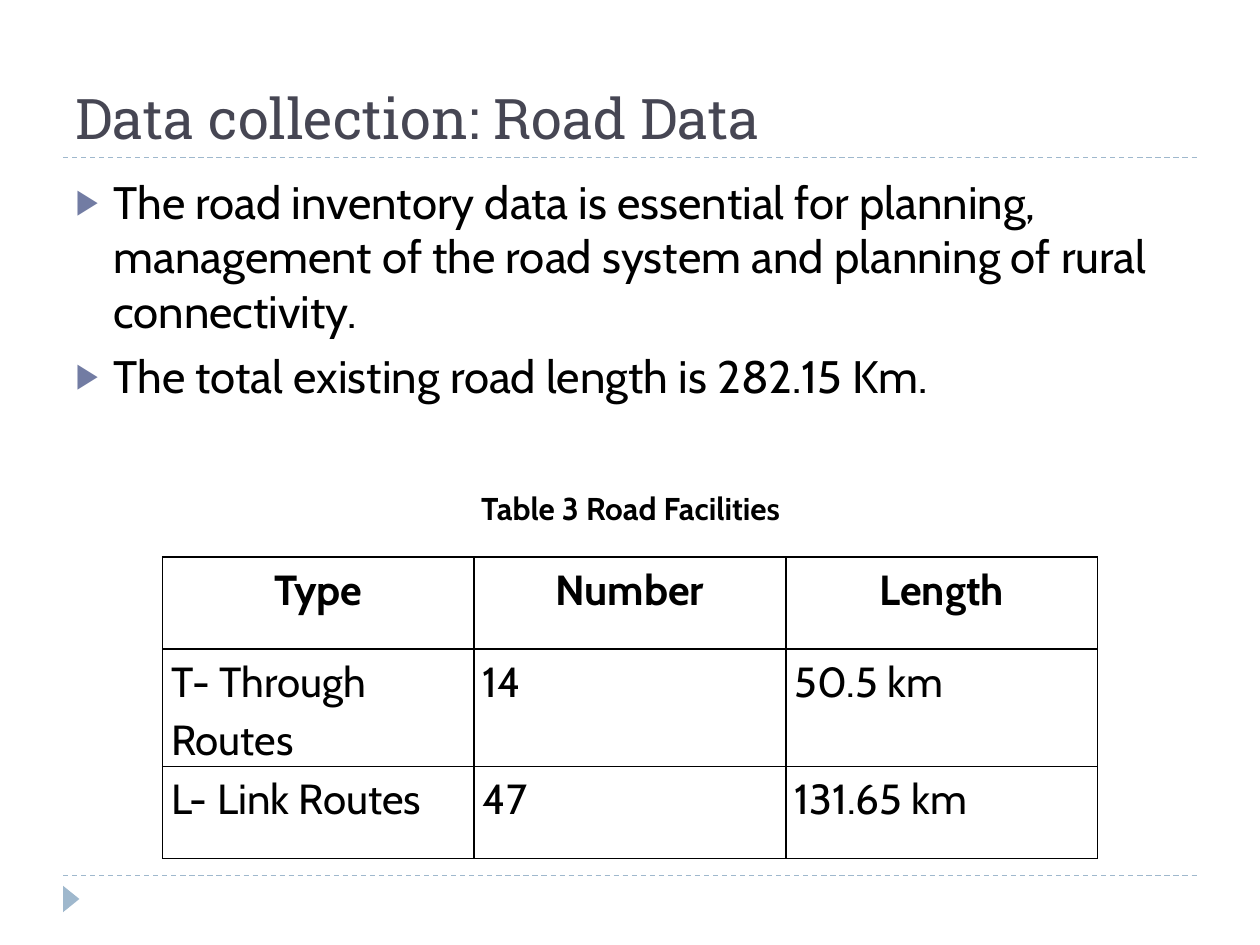
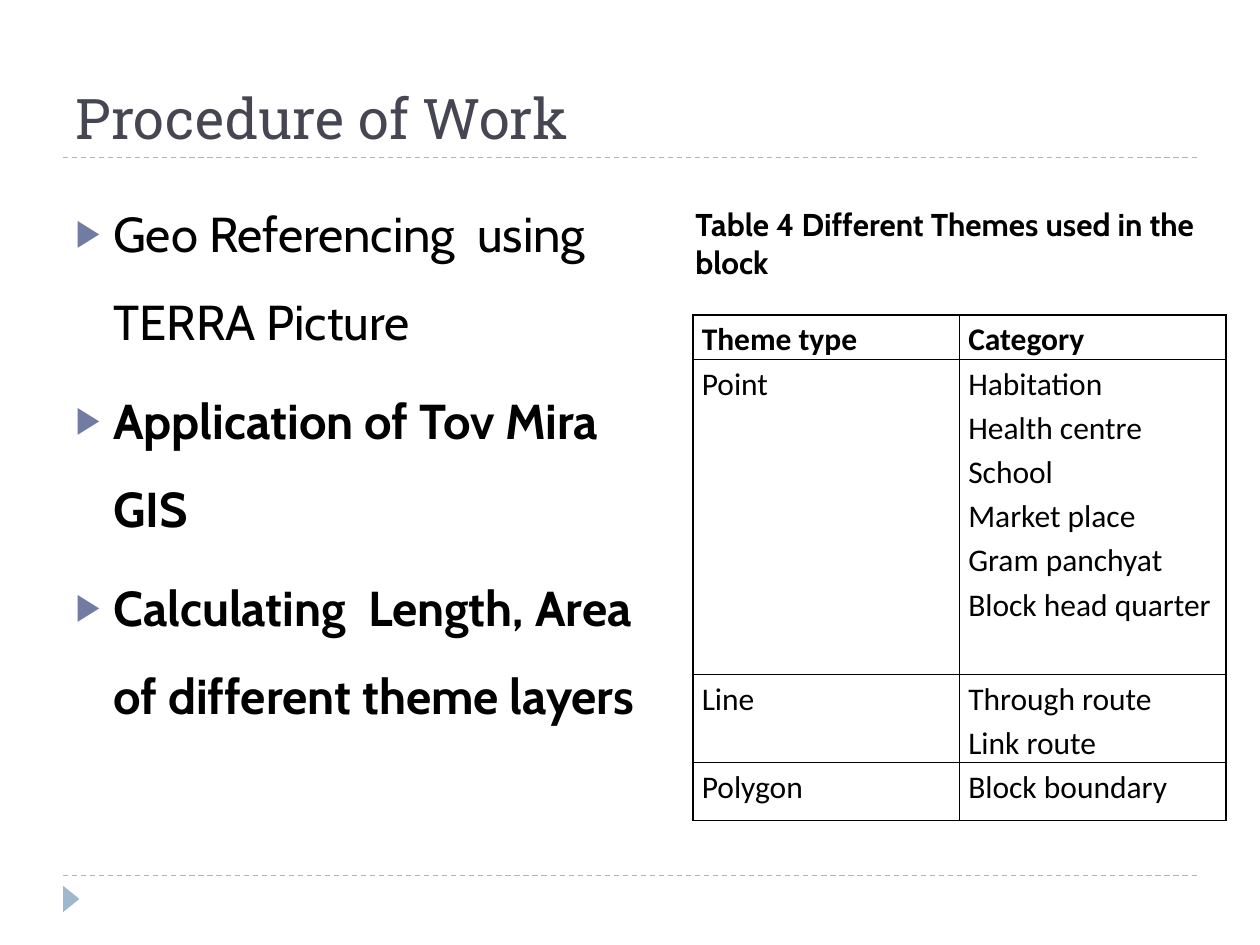
from dataclasses import dataclass

from lxml.etree import SubElement
from pptx import Presentation
from pptx.dml.color import RGBColor
from pptx.enum.dml import MSO_LINE
from pptx.enum.shapes import MSO_CONNECTOR, MSO_SHAPE
from pptx.enum.text import MSO_ANCHOR, MSO_AUTO_SIZE, PP_ALIGN
from pptx.oxml import parse_xml
from pptx.oxml.ns import nsdecls, qn
from pptx.util import Inches, Pt


@dataclass(frozen=True)
class Theme:
    """Colours, fonts and sizes that the slides share."""
    title_color: str = "464653"
    text_color: str = "000000"
    bullet_color: str = "727CA3"
    band_color: str = "9FB8CD"
    title_font: str = "Roboto Slab"
    body_font: str = "Cabin"
    title_size: int = 32
    caption_size: int = 18


THEME = Theme()
WIDTH, HEIGHT = 10, 7.5
MARGIN = WIDTH / 20
CONTENT_WIDTH = WIDTH - 2 * MARGIN
TITLE_TOP, TITLE_LINE, BODY_TOP, FOOTER_LINE = 0.17, 1.25, 1.33, 6.95

SLIDES = [
    {
        "title": "Data collection: Road Data",
        "bullets": [
            ("The road inventory data is essential for planning, management "
             "of the road system and planning of rural connectivity. ", False),
            ("The total existing road length is 282.15 Km.", False),
        ],
        "body": {"width": CONTENT_WIDTH, "height": 5.4, "size": 26, "spacing": 1},
        "table": {
            "box": (1.29, 4.42, 7.42), "row_heights": (0.73, 0.8, 0.73),
            "font": THEME.body_font, "size": 24, "header_align": PP_ALIGN.CENTER,
            "rows": [
                ("Type", "Number", "Length"),
                ("T- Through Routes", "14", "50.5 km"),
                ("L- Link Routes", "47", "131.65 km"),
            ],
        },
        "caption": {
            "text": "Table 3 Road Facilities", "box": (1.42, 3.83, 7.17, 0.4),
            "align": PP_ALIGN.CENTER, "anchor": MSO_ANCHOR.MIDDLE,
        },
    },
    {
        "title": "Procedure of Work",
        "bullets": [
            ("Geo Referencing  using TERRA Picture", False),
            ("Application of Tov Mira GIS", True),
            ("Calculating  Length, Area of different theme layers", True),
        ],
        "body": {"width": WIDTH / 2, "height": 5.17, "size": 28, "spacing": 1.5},
        "table": {
            "box": (5.5, 2.5, 4.23), "row_heights": (0.34, 2.5, 0.7, 0.46),
            "font": "Calibri", "size": 18, "header_align": PP_ALIGN.LEFT,
            "rows": [
                ("Theme type", "Category"),
                ("Point", "Habitation\nHealth centre\nSchool\nMarket place\n"
                          "Gram panchyat\nBlock head quarter "),
                ("Line", "Through route\nLink route"),
                ("Polygon", "Block boundary"),
            ],
        },
        "caption": {
            "text": "Table 4 Different Themes used in the block",
            "box": (5.42, 1.58, 4.42, 0.71),
            "align": PP_ALIGN.LEFT, "anchor": MSO_ANCHOR.TOP,
        },
    },
]


def inches(*lengths):
    """Turn plain numbers into lengths."""
    return [Inches(length) for length in lengths]


def place(shape, *box):
    """Move a shape to left, top, width, height."""
    shape.left, shape.top, shape.width, shape.height = inches(*box)


def set_font(paragraph, name, size, color=THEME.text_color, bold=False):
    """Format all the text of a paragraph."""
    font = paragraph.font
    font.name, font.size, font.bold = name, Pt(size), bold
    font.color.rgb = RGBColor.from_string(color)


def add_bands(slide):
    """Draw the two dashed rules and the footer marker."""
    for top in (FOOTER_LINE, TITLE_LINE):
        rule = slide.shapes.add_connector(
            MSO_CONNECTOR.STRAIGHT, *inches(MARGIN, top, WIDTH - MARGIN, top))
        rule.line.color.rgb = RGBColor.from_string(THEME.band_color)
        rule.line.width = Pt(0.75)
        rule.line.dash_style = MSO_LINE.DASH
        SubElement(rule._element.spPr, qn("a:effectLst"))
    marker = slide.shapes.add_shape(
        MSO_SHAPE.ISOSCELES_TRIANGLE, *inches(0.46, 7.07, 0.21, 0.13))
    marker.rotation = 90
    marker.shadow.inherit = False
    marker.fill.solid()
    marker.fill.fore_color.rgb = RGBColor.from_string(THEME.band_color)
    marker.line.fill.background()


def fill_title(slide, text):
    """Write the title just above the upper rule."""
    title = slide.shapes.title
    place(title, MARGIN, TITLE_TOP, CONTENT_WIDTH, TITLE_LINE - TITLE_TOP)
    frame = title.text_frame
    frame.text = text
    frame.auto_size = MSO_AUTO_SIZE.NONE
    frame.vertical_anchor = MSO_ANCHOR.BOTTOM
    paragraph = frame.paragraphs[0]
    paragraph.alignment = PP_ALIGN.LEFT
    set_font(paragraph, THEME.title_font, THEME.title_size, THEME.title_color)


def add_bullet(paragraph):
    """Give a paragraph a hanging triangle bullet."""
    properties = paragraph._p.get_or_add_pPr()
    properties.set("marL", str(Inches(0.3)))
    properties.set("indent", str(-Inches(0.3)))
    marks = (
        f'<a:buClr {nsdecls("a")}><a:srgbClr val="{THEME.bullet_color}"/></a:buClr>',
        f'<a:buSzPct {nsdecls("a")} val="76000"/>',
        f'<a:buChar {nsdecls("a")} char="\u25b6"/>',
    )
    for mark in marks:
        properties.insert_element_before(parse_xml(mark), "a:tabLst", "a:defRPr")


def fill_body(slide, bullets, width, height, size, spacing):
    """Write the bullet list."""
    body = slide.placeholders[1]
    place(body, MARGIN, BODY_TOP, width, height)
    frame = body.text_frame
    frame.text = "\n".join(text for text, _ in bullets)
    frame.auto_size = MSO_AUTO_SIZE.NONE
    for paragraph, (_, bold) in zip(frame.paragraphs, bullets):
        paragraph.line_spacing = spacing
        paragraph.space_before = Pt(6)
        set_font(paragraph, THEME.body_font, size, bold=bold)
        add_bullet(paragraph)


def add_borders(cell):
    """Rule all four sides of a cell."""
    properties = cell._tc.get_or_add_tcPr()
    for index, side in enumerate("LRTB"):
        properties.insert(index, parse_xml(
            f'<a:ln{side} {nsdecls("a")} w="{Pt(1)}"><a:solidFill>'
            f'<a:srgbClr val="{THEME.text_color}"/></a:solidFill></a:ln{side}>'))


def add_grid(slide, box, row_heights, font, size, header_align, rows):
    """Add a ruled table with equal columns and a bold header row."""
    left, top, width = box
    columns = len(rows[0])
    table = slide.shapes.add_table(
        len(rows), columns, *inches(left, top, width, sum(row_heights))).table
    table.first_row = table.horz_banding = False
    for column in table.columns:
        column.width = Inches(width / columns)
    for row_index, (texts, height) in enumerate(zip(rows, row_heights)):
        table.rows[row_index].height = Inches(height)
        header = row_index == 0
        for column_index, text in enumerate(texts):
            cell = table.cell(row_index, column_index)
            cell.text = text
            cell.margin_left = cell.margin_right = Inches(0.07)
            cell.margin_top = cell.margin_bottom = 0
            cell.fill.background()
            add_borders(cell)
            for paragraph in cell.text_frame.paragraphs:
                paragraph.line_spacing = 1.15
                paragraph.alignment = header_align if header else PP_ALIGN.LEFT
                set_font(paragraph, font, size, bold=header)


def add_caption(slide, text, box, align, anchor):
    """Add the bold caption above a table."""
    frame = slide.shapes.add_textbox(*inches(*box)).text_frame
    frame.word_wrap = True
    frame.auto_size = MSO_AUTO_SIZE.SHAPE_TO_FIT_TEXT
    frame.vertical_anchor = anchor
    frame.text = text
    paragraph = frame.paragraphs[0]
    paragraph.alignment = align
    set_font(paragraph, THEME.body_font, THEME.caption_size, bold=True)


def main():
    """Build the slides and save them."""
    presentation = Presentation()
    presentation.slide_width, presentation.slide_height = inches(WIDTH, HEIGHT)
    for content in SLIDES:
        slide = presentation.slides.add_slide(presentation.slide_layouts[1])
        add_bands(slide)
        fill_title(slide, content["title"])
        fill_body(slide, content["bullets"], **content["body"])
        add_grid(slide, **content["table"])
        add_caption(slide, **content["caption"])
    presentation.save("out.pptx")


main()
